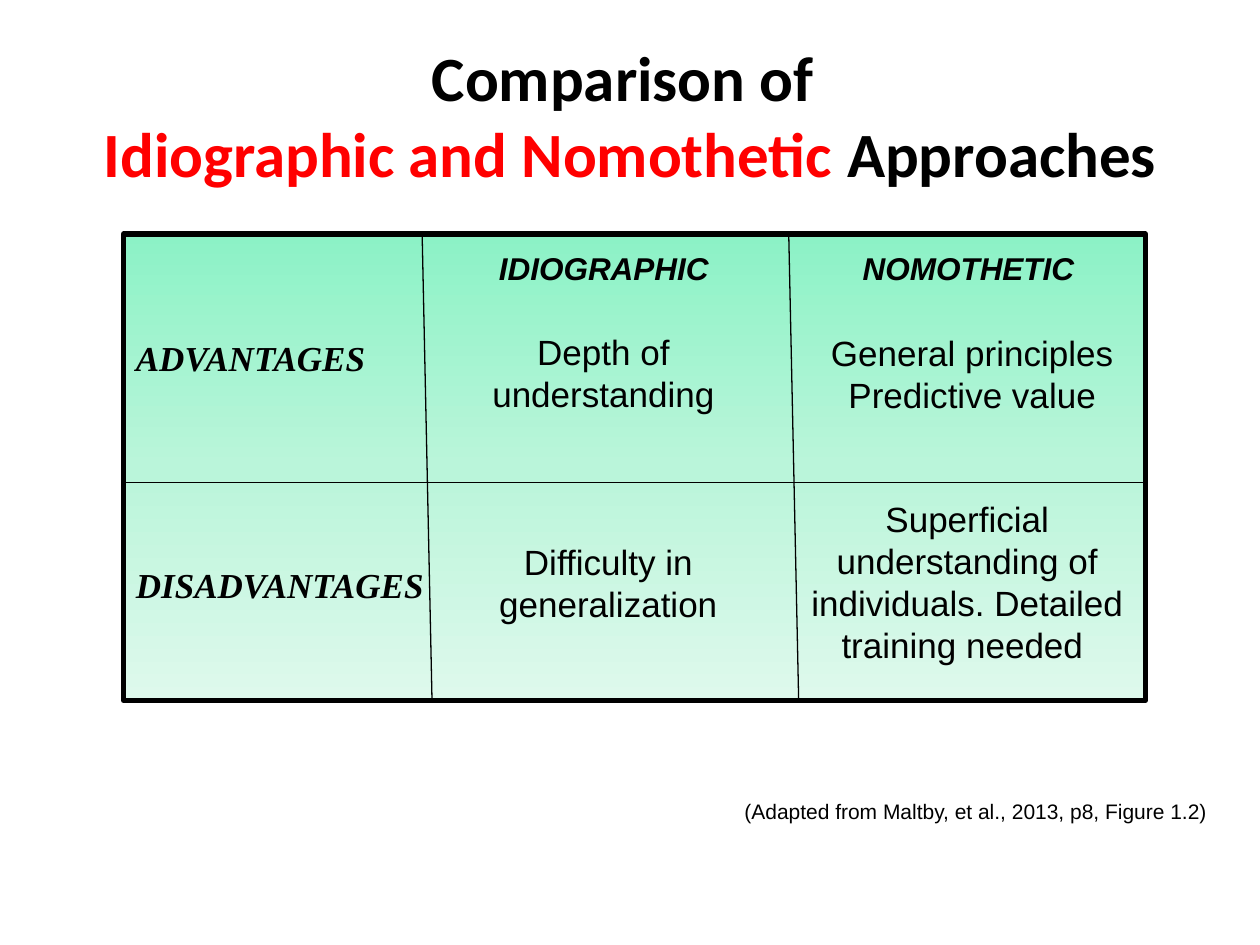
from copy import deepcopy

from lxml import etree
from pptx import Presentation
from pptx.dml.color import RGBColor
from pptx.enum.shapes import MSO_CONNECTOR, MSO_SHAPE
from pptx.enum.text import MSO_ANCHOR, PP_ALIGN
from pptx.oxml.ns import qn
from pptx.util import Cm, Pt

LEFT, CENTER, RIGHT = PP_ALIGN.LEFT, PP_ALIGN.CENTER, PP_ALIGN.RIGHT
TOP, MIDDLE = MSO_ANCHOR.TOP, MSO_ANCHOR.MIDDLE
RECTANGLE = MSO_SHAPE.RECTANGLE
STRAIGHT = MSO_CONNECTOR.STRAIGHT

BLACK = RGBColor(0x00, 0x00, 0x00)
RED = RGBColor(0xFF, 0x00, 0x00)
MINT_STOPS = [
    (0, RGBColor(0x8C, 0xF2, 0xC6)),
    (0.5, RGBColor(0xBA, 0xF5, 0xDA)),
    (1, RGBColor(0xDE, 0xF9, 0xEC)),
]

# Panel edges and the slant of the column dividers, in centimetres
PANEL_LEFT, PANEL_TOP, PANEL_WIDTH, PANEL_HEIGHT = 2.49, 4.72, 20.6, 9.4
PANEL_RIGHT = PANEL_LEFT + PANEL_WIDTH
PANEL_BOTTOM = PANEL_TOP + PANEL_HEIGHT
DIVIDER_TOPS = (8.51, 15.9)
DIVIDER_SLANT = 0.2
ROW_SPLIT = 9.73


def add_span(para, text, font="Arial", size=20, color=BLACK, bold=False, italic=False):
    span = para.add_run()
    span.text = text
    span.font.name = font
    span.font.size = Pt(size)
    span.font.color.rgb = color
    span.font.bold = bold
    span.font.italic = italic


def write_lines(frame, lines, align=CENTER, gap=0, **style):
    """Write one paragraph per line, with gap points between them."""
    for index, line in enumerate(lines):
        para = frame.add_paragraph() if index else frame.paragraphs[0]
        para.alignment = align
        if index:
            para.space_before = Pt(gap)
        add_span(para, line, **style)


class SlideBuilder:
    def __init__(self, slide):
        self.slide = slide

    def title(self, left, top, width, height, lines):
        """Fill the title; each line is a list of (text, colour) pairs."""
        title = self.slide.shapes.title
        title.left, title.top = Cm(left), Cm(top)
        title.width, title.height = Cm(width), Cm(height)
        title.text_frame.vertical_anchor = MIDDLE
        para = title.text_frame.paragraphs[0]
        para.alignment = CENTER
        for index, line in enumerate(lines):
            if index:
                para.add_line_break()
            for text, color in line:
                add_span(para, text, font="Calibri", size=36, color=color, bold=True)

    def panel(self, left, top, width, height, labels):
        panel = self.slide.shapes.add_shape(
            RECTANGLE, Cm(left), Cm(top), Cm(width), Cm(height))
        panel.shadow.inherit = False
        panel.line.color.rgb = BLACK
        panel.line.width = Pt(3)
        panel.fill.gradient()
        panel.fill.gradient_angle = 270
        stop_list = panel._element.spPr.find(".//" + qn("a:gsLst"))
        stop_list.insert(1, deepcopy(stop_list[0]))
        for stop, (position, color) in zip(panel.fill.gradient_stops, MINT_STOPS):
            stop.position = position
            stop.color.rgb = color
        frame = panel.text_frame
        frame.vertical_anchor = TOP
        frame.margin_top = Cm(2.06)
        write_lines(frame, labels, align=LEFT, gap=106,
                    font="Times New Roman", bold=True, italic=True)

    def line(self, x1, y1, x2, y2):
        line = self.slide.shapes.add_connector(STRAIGHT, Cm(x1), Cm(y1), Cm(x2), Cm(y2))
        line.line.color.rgb = BLACK
        line.line.width = Pt(0.75)
        etree.SubElement(line._element.spPr, qn("a:effectLst"))

    def text(self, left, top, width, height, *lines, **style):
        box = self.slide.shapes.add_textbox(Cm(left), Cm(top), Cm(width), Cm(height))
        box.text_frame.word_wrap = True
        write_lines(box.text_frame, lines, **style)


def main():
    deck = Presentation()
    deck.slide_width, deck.slide_height = Cm(25.4), Cm(19.05)
    builder = SlideBuilder(deck.slides.add_slide(deck.slide_layouts[5]))

    builder.title(0, 0.91, 25.4, 2.79, [
        [("Comparison of ", BLACK)],
        [("Idiographic and Nomothetic ", RED), ("Approaches", BLACK)],
    ])
    builder.text(0.89, 15.98, 23.7, 0.76,
                 "(Adapted from Maltby, et al., 2013, p8, Figure 1.2)",
                 align=RIGHT, size=12)

    builder.panel(PANEL_LEFT, PANEL_TOP, PANEL_WIDTH, PANEL_HEIGHT,
                  ["ADVANTAGES", "DISADVANTAGES"])
    for x in DIVIDER_TOPS:
        builder.line(x, PANEL_TOP, x + DIVIDER_SLANT, PANEL_BOTTOM)
    builder.line(PANEL_LEFT, ROW_SPLIT, PANEL_RIGHT, ROW_SPLIT)

    for left, heading in ((8.53, "IDIOGRAPHIC"), (15.88, "NOMOTHETIC")):
        builder.text(left, 4.9, 7.29, 1.02, heading, size=18, bold=True, italic=True)
    builder.text(8.61, 6.53, 7.11, 1.96, "Depth of understanding")
    builder.text(15.93, 6.55, 7.34, 1.96, "General principles", "Predictive value")
    builder.text(8.71, 10.77, 7.11, 1.96, "Difficulty in generalization")
    builder.text(15.65, 9.91, 7.7, 3.68,
                 "Superficial understanding of individuals. Detailed training needed ")

    deck.save("out.pptx")


if __name__ == "__main__":
    main()
